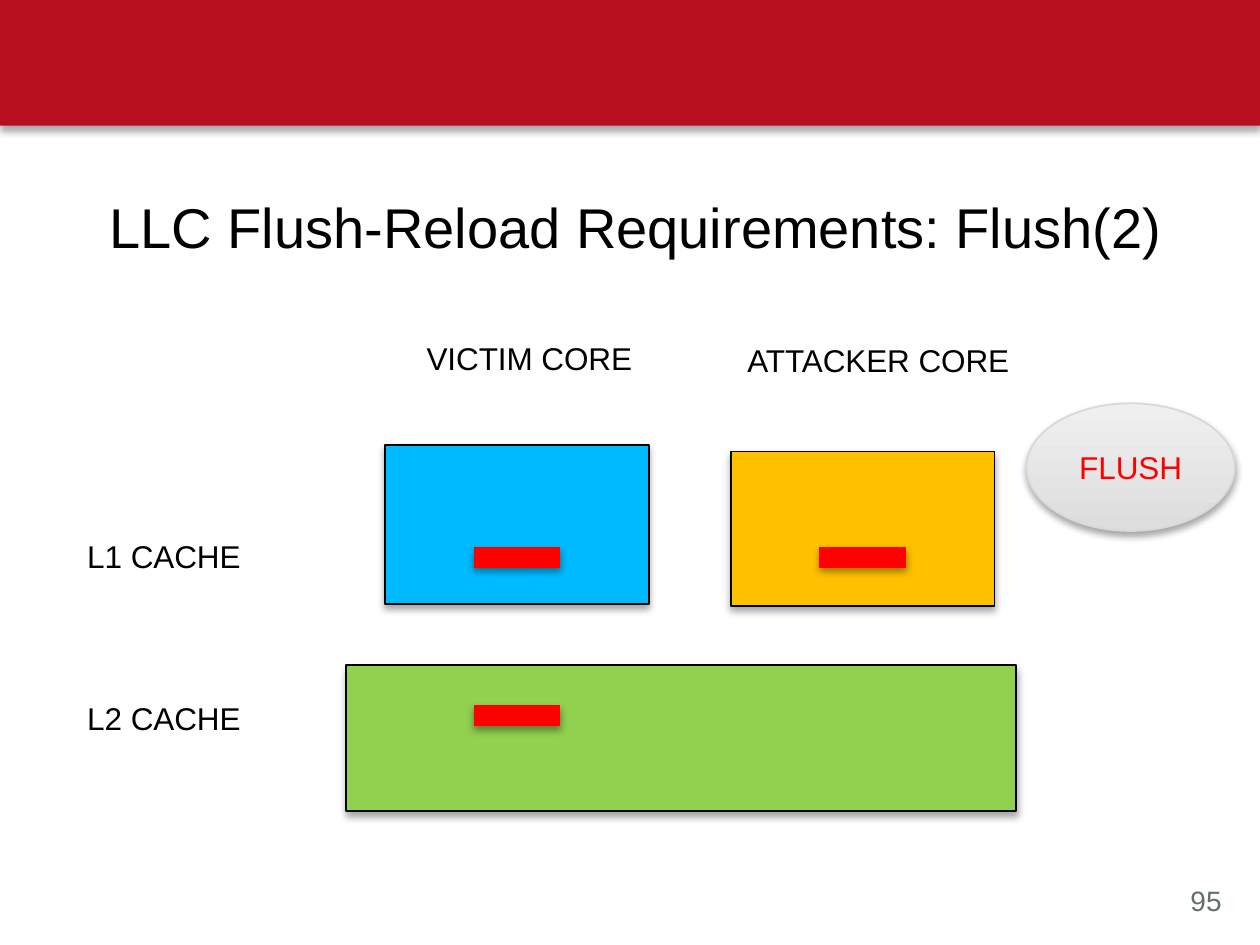
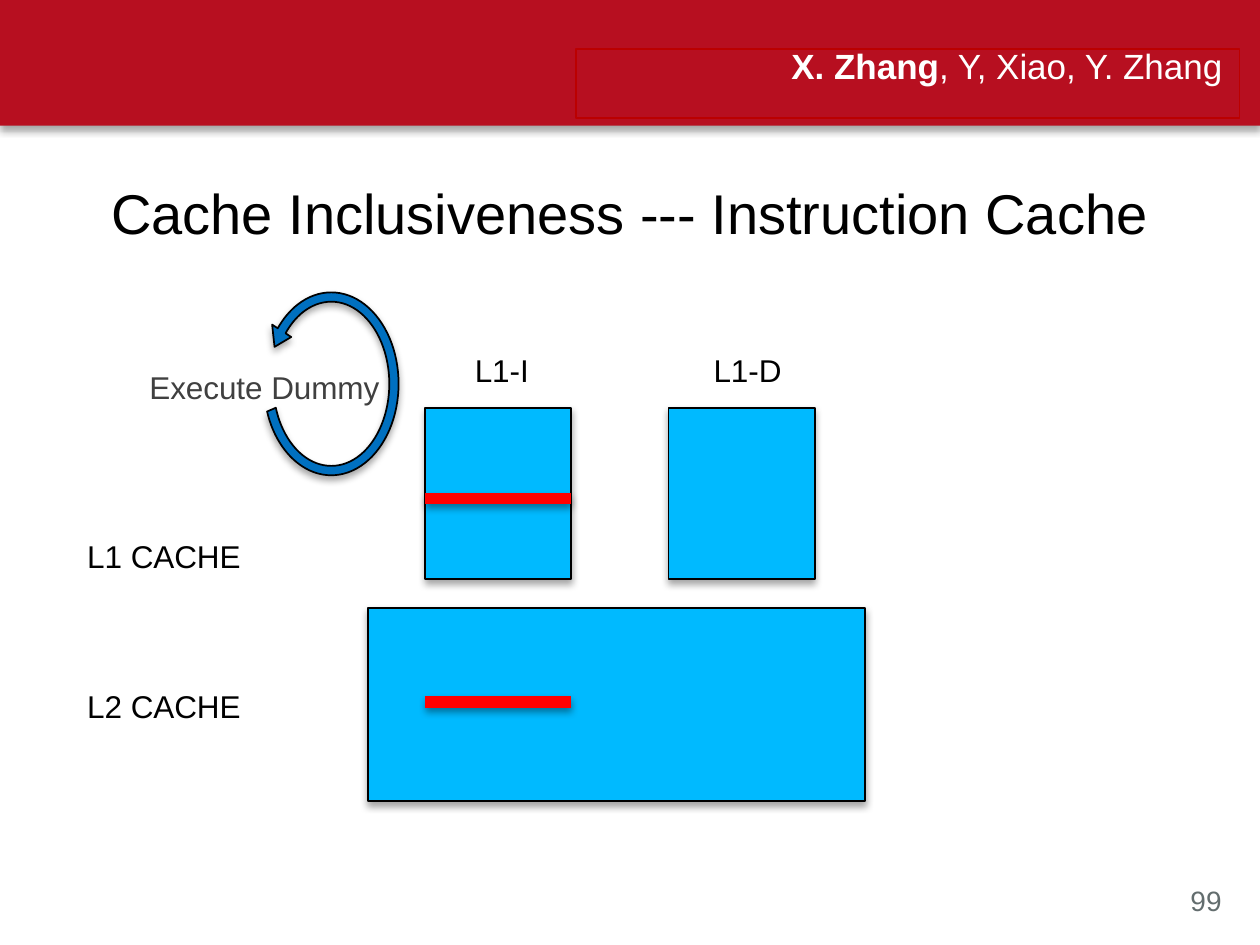
from dataclasses import dataclass

from pptx import Presentation
from pptx.dml.color import RGBColor
from pptx.enum.shapes import MSO_CONNECTOR, MSO_SHAPE
from pptx.enum.text import MSO_ANCHOR, MSO_AUTO_SIZE, PP_ALIGN
from pptx.oxml import parse_xml
from pptx.oxml.ns import nsdecls
from pptx.util import Cm, Pt

FONT = "Arial"
BLACK, WHITE, RED = "000000", "FFFFFF", "FF0000"
BLUE, GOLD, GREEN = "00BAFF", "FFC000", "92D050"
LABEL_X, LABEL_W, LABEL_H = 1.07, 2.97, 0.84


@dataclass
class Box:
    x: float
    y: float
    w: float
    h: float
    fill: str = ""
    line: str = BLACK
    kind: MSO_SHAPE = MSO_SHAPE.RECTANGLE


@dataclass
class Label:
    text: str
    x: float
    y: float
    w: float = LABEL_W
    h: float = LABEL_H
    size: float = 13.5
    color: str = BLACK
    wrap: bool = True


@dataclass
class Bar:
    """A cached line, drawn as a thick stroke."""
    x: float
    y: float
    w: float
    thick: float


def rgb(code: str) -> RGBColor:
    return RGBColor.from_string(code)


def place(shape, x: float, y: float, w: float, h: float) -> None:
    shape.left, shape.top, shape.width, shape.height = map(Cm, (x, y, w, h))


def shade(shape, alpha: int = 35, dist: int = 23000) -> None:
    shape.element.spPr.append(parse_xml(
        f'<a:effectLst {nsdecls("a")}><a:outerShdw blurRad="40000" dist="{dist}" '
        f'dir="5400000" rotWithShape="0"><a:srgbClr val="{BLACK}">'
        f'<a:alpha val="{alpha}000"/></a:srgbClr></a:outerShdw></a:effectLst>'))


def write(shape, text: str, *, size: float = 13.5, color: str = BLACK,
          align=PP_ALIGN.LEFT, anchor=MSO_ANCHOR.TOP, wrap: bool = True,
          lead: str = "", space: float | None = None) -> None:
    """Fill a shape with one paragraph; lead is a bold opening."""
    frame = shape.text_frame
    frame.word_wrap, frame.vertical_anchor = wrap, anchor
    frame.auto_size = MSO_AUTO_SIZE.NONE
    par = frame.paragraphs[0]
    par.alignment, par.space_before = align, Pt(0)
    if space:
        par.line_spacing = Pt(space)
    for part, bold in ((lead, True), (text, False)):
        if part:
            run = par.add_run()
            run.text = part
            run.font.name, run.font.size, run.font.bold = FONT, Pt(size), bold
            run.font.color.rgb = rgb(color)


def draw_box(slide, box: Box):
    shape = slide.shapes.add_shape(
        box.kind, *map(Cm, (box.x, box.y, box.w, box.h)))
    if box.fill:
        shape.fill.solid()
        shape.fill.fore_color.rgb = rgb(box.fill)
    if box.line:
        shape.line.color.rgb = rgb(box.line)
        shape.line.width = Pt(0.75)
    else:
        shape.line.fill.background()
    shade(shape)
    return shape


def draw_label(slide, tag: Label) -> None:
    shape = slide.shapes.add_textbox(*map(Cm, (tag.x, tag.y, tag.w, tag.h)))
    write(shape, tag.text, size=tag.size, color=tag.color, wrap=tag.wrap)


def draw_bar(slide, bar: Bar) -> None:
    line = slide.shapes.add_connector(
        MSO_CONNECTOR.STRAIGHT,
        *map(Cm, (bar.x, bar.y, bar.x + bar.w, bar.y)))
    line.line.color.rgb = rgb(RED)
    line.line.width = Pt(bar.thick)
    shade(line, alpha=38, dist=20000)


def draw_all(slide, boxes: list[Box], labels: list[Label], bars: list[Bar]) -> None:
    for draw, items in ((draw_box, boxes), (draw_label, labels), (draw_bar, bars)):
        for item in items:
            draw(slide, item)


def add_page(deck, layout: int, title: str, spot: tuple, number: str):
    """Add a slide with the shared title style and page number."""
    slide = deck.slides.add_slide(deck.slide_layouts[layout])
    place(slide.shapes.title, *spot)
    write(slide.shapes.title, title, size=24, align=PP_ALIGN.CENTER)
    draw_label(slide, Label(number, 17.75, 13.23, 1.04, 0.76, 12, "636D6E", False))
    return slide


def add_band(deck, slide) -> None:
    """Draw the red band and move it to the master."""
    band = draw_box(slide, Box(0, 0, 19.05, 1.9, "B70F20", ""))
    band.element.nvSpPr.cNvPr.set("id", "99")
    deck.slide_master.shapes.element.insert(2, band.element)


def flush_page(deck) -> None:
    slide = add_page(deck, 5, "LLC Flush-Reload Requirements: Flush(2)",
                     (0.79, 2.79, 17.63, 1.27), "95")
    add_band(deck, slide)
    draw_all(
        slide,
        [Box(11.05, 6.83, 3.99, 2.34, GOLD),
         Box(5.23, 10.06, 10.13, 2.21, GREEN),
         Box(5.82, 6.73, 3.99, 2.41, BLUE)],
        [Label("L1 CACHE", LABEL_X, 8),
         Label("L2 CACHE", LABEL_X, 10.44),
         Label("VICTIM CORE", 6.2, 5, 4.34),
         Label("ATTACKER CORE", 11.05, 5.03, 4.65)],
        [Bar(x, y, 1.31, 9)
         for x, y in ((7.16, 8.43), (7.16, 10.82), (12.39, 8.43))])

    # Flush bubble
    oval = draw_box(slide, Box(15.52, 6.1, 3.15, 1.93, "", "D8D8D8", MSO_SHAPE.OVAL))
    oval.fill.gradient()
    oval.fill.gradient_angle = 90
    for stop, code in zip(oval.fill.gradient_stops, ("DDDDDD", "EFEFEF")):
        stop.color.rgb = rgb(code)
    write(oval, "FLUSH", color=RED, align=PP_ALIGN.CENTER, anchor=MSO_ANCHOR.MIDDLE)


def inclusive_page(deck) -> None:
    slide = add_page(deck, 1, "Cache Inclusiveness --- Instruction Cache",
                     (1.07, 2.57, 16.89, 1.27), "99")
    left, wide = 6.43, 2.21
    draw_all(
        slide,
        [Box(x, 6.17, wide, 2.59, BLUE) for x in (left, 10.11)]
        + [Box(5.56, 9.19, 7.52, 2.92, BLUE)],
        [Label("L1 CACHE", LABEL_X, 8),
         Label("L2 CACHE", LABEL_X, 10.26),
         Label("L1-I", 6.93, 5.18),
         Label("L1-D", 10.54, 5.18),
         Label("Execute Dummy", 2.01, 5.44, 4.04, color="404040", wrap=False)],
        [Bar(left, y, wide, 5) for y in (7.54, 10.62)])

    # Authors in the band
    names = slide.placeholders[1]
    place(names, 8.71, 0.74, 10.03, 1.04)
    names.line.color.rgb = rgb("BB0000")
    names.line.width = Pt(0.75)
    props = names.text_frame.paragraphs[0]._p.get_or_add_pPr()
    props.set("marL", "0")
    props.set("indent", "0")
    props.append(parse_xml(f'<a:buNone {nsdecls("a")}/>'))
    write(names, ", Y, Xiao, Y. Zhang", lead="X. Zhang", size=15, color=WHITE,
          align=PP_ALIGN.RIGHT, space=12.3)

    # Loop arrow
    loop = draw_box(slide, Box(3.89, 4.32, 2.24, 2.97, "0070C0",
                               kind=MSO_SHAPE.CIRCULAR_ARROW))
    for i, value in enumerate((0.063, 8.294, 187.863, 14.028, 0.077)):
        loop.adjustments[i] = value
    loop.element.spPr.xfrm.set("flipH", "1")


def main() -> None:
    deck = Presentation()
    deck.slide_width, deck.slide_height = Cm(19.05), Cm(14.29)
    flush_page(deck)
    inclusive_page(deck)
    deck.save("out.pptx")


if __name__ == "__main__":
    main()
